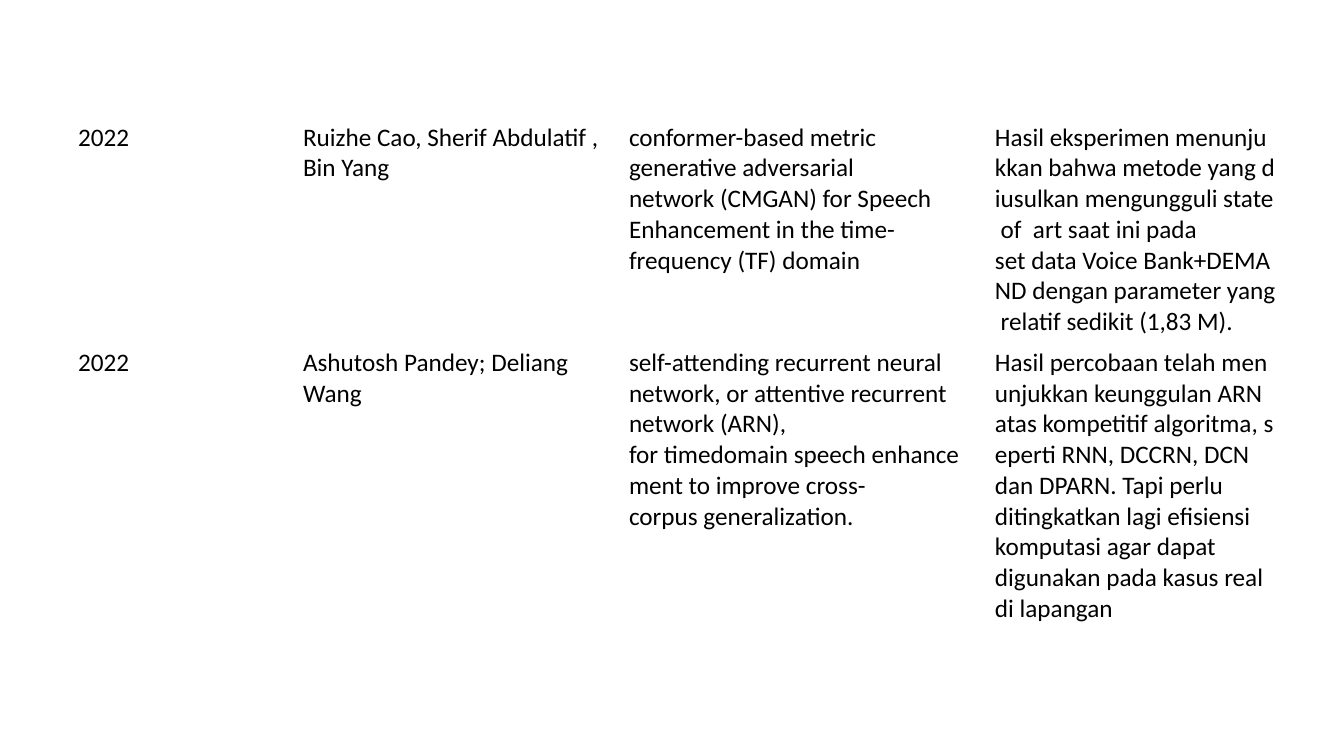
from pptx import Presentation
from pptx.dml.color import RGBColor
from pptx.util import Emu, Pt

PX = 914400 / 100.8
BLACK = RGBColor(0x00, 0x00, 0x00)
FONT = "Calibri"
TIE = "~"
HARD_SPACE = chr(160)
COLUMN_WIDTHS = [225, 326, 366, 303]
ROW_HEIGHTS = [225, 279]
STUDIES = [
    (
        "2022",
        "Ruizhe Cao,~Sherif~Abdulatif , Bin Yang",
        "conformer-based metric generative adversarial network~(CMGAN) for~Speech "
        "Enhancement in the time-frequency~(TF) domain~",
        "Hasil~eksperimen~menunjukkan~bahwa~metode~yang~diusulkan~mengungguli~"
        "state~of~ art~saat~ini~pada set~data~Voice~Bank+DEMAND~dengan~parameter~"
        "yang~relatif~sedikit~(1,83 M).~",
    ),
    (
        "2022",
        "Ashutosh Pandey;~Deliang Wang",
        "self-attending recurrent neural network, or attentive~recurrent "
        "network~(ARN), for~timedomain~speech~enhancement to improve "
        "cross-corpus~generalization.",
        "Hasil~percobaan~telah~menunjukkan~keunggulan~ARN~atas~kompetitif~"
        "algoritma,~seperti~RNN,~DCCRN, DCN dan~DPARN. Tapi perlu ditingkatkan "
        "lagi efisiensi komputasi agar dapat digunakan pada kasus real di lapangan",
    ),
]


def px(length):
    return Emu(round(length * PX))


def fill_cell(cell, text):
    cell.fill.background()
    run = cell.text_frame.paragraphs[0].add_run()
    run.text = text.replace(TIE, HARD_SPACE)
    run.font.name = FONT
    run.font.size = Pt(18)
    run.font.bold = False
    run.font.color.rgb = BLACK


def add_study_table(slide, left, top):
    frame = slide.shapes.add_table(
        len(ROW_HEIGHTS), len(COLUMN_WIDTHS), px(left), px(top),
        px(sum(COLUMN_WIDTHS)), px(sum(ROW_HEIGHTS)),
    )
    studies = frame.table
    studies.first_row = False
    studies.horz_banding = False
    for column, width in zip(studies.columns, COLUMN_WIDTHS):
        column.width = px(width)
    for row, height, study in zip(studies.rows, ROW_HEIGHTS, STUDIES):
        row.height = px(height)
        for cell, text in zip(row.cells, study):
            fill_cell(cell, text)


def main():
    deck = Presentation()
    deck.slide_width = px(1344)
    deck.slide_height = px(756)
    slide = deck.slides.add_slide(deck.slide_layouts[6])
    add_study_table(slide, left=68, top=117)
    deck.save("out.pptx")


if __name__ == "__main__":
    main()
